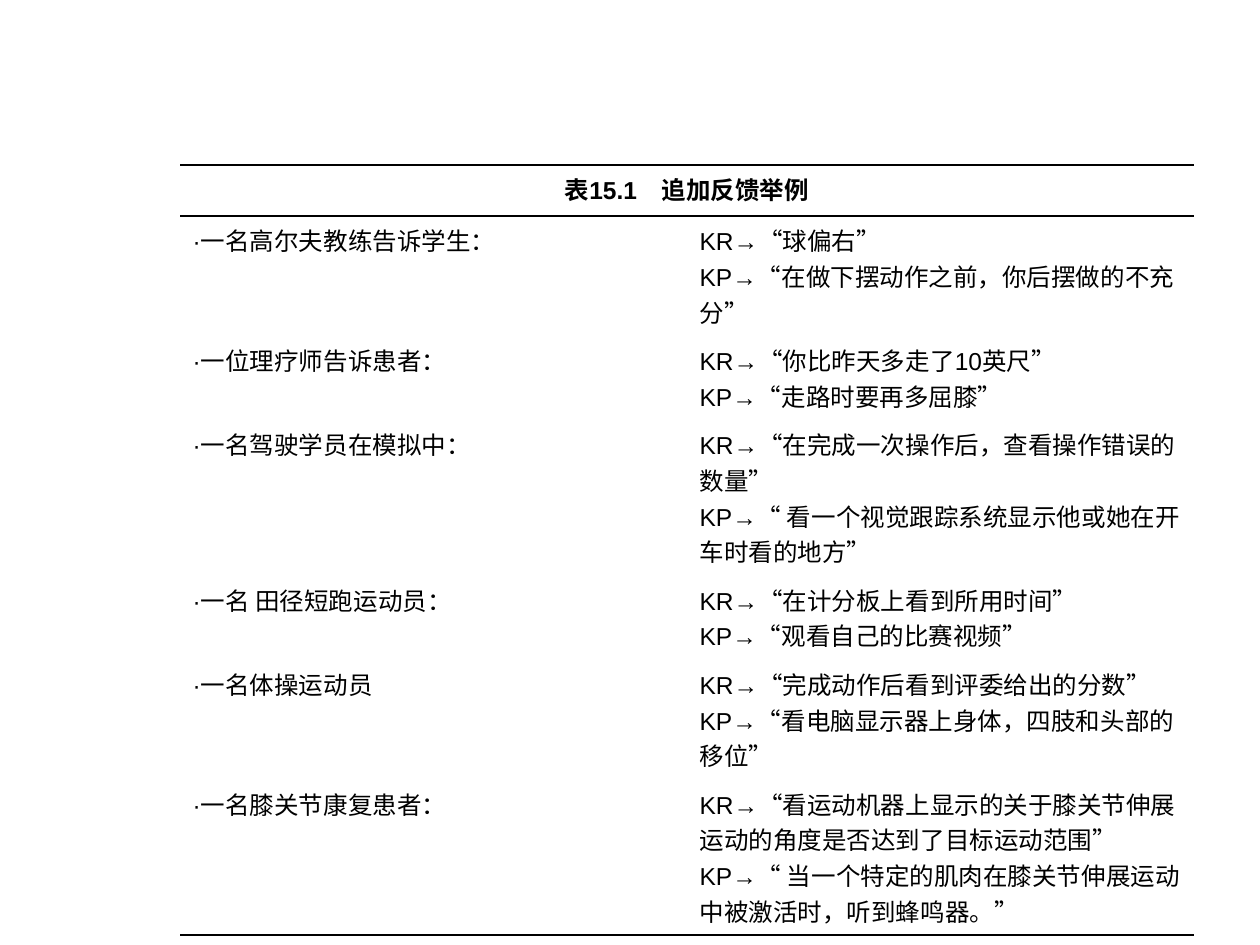
import pptx
import pptx.dml.color
import pptx.enum.lang
import pptx.enum.text
import pptx.oxml
import pptx.oxml.ns
import pptx.util

SCALE = 914400 / 126
TITLE = "表15.1　追加反馈举例"
EXAMPLES = [
    ("·一名高尔夫教练告诉学生：", "KR→“球偏右”", "KP→“在做下摆动作之前，你后摆做的不充分”"),
    ("·一位理疗师告诉患者：", "KR→“你比昨天多走了10英尺”", "KP→“走路时要再多屈膝”"),
    ("·一名驾驶学员在模拟中：", "KR→“在完成一次操作后，查看操作错误的数量”",
     "KP→“ 看一个视觉跟踪系统显示他或她在开车时看的地方”"),
    ("·一名 田径短跑运动员：", "KR→“在计分板上看到所用时间”", "KP→“观看自己的比赛视频”"),
    ("·一名体操运动员", "KR→“完成动作后看到评委给出的分数”",
     "KP→“看电脑显示器上身体，四肢和头部的移位”"),
    ("·一名膝关节康复患者：",
     "KR→“看运动机器上显示的关于膝关节伸展运动的角度是否达到了目标运动范围”",
     "KP→“ 当一个特定的肌肉在膝关节伸展运动中被激活时，听到蜂鸣器。”"),
]
ROW_HEIGHTS = [51, 101, 72, 130, 72, 101, 130]


def px(length):
    """Turn pixels into EMU."""
    return pptx.util.Emu(round(length * SCALE))


def color(hex_text):
    """Turn a hex string into a colour."""
    return pptx.dml.color.RGBColor.from_string(hex_text)


class SlideWriter:
    """Holds the text and rule style and the slide being filled."""

    font_name = "Arial"
    font_size = 14
    ink = "000000"
    rule_width = 0.96

    def __init__(self, slide):
        """Start writing on the given slide."""
        self.slide = slide

    def table(self, left, top, column_widths, row_heights):
        """Add a plain table without banding."""
        frame = self.slide.shapes.add_table(
            len(row_heights), len(column_widths), px(left), px(top),
            px(sum(column_widths)), px(sum(row_heights)))
        table = frame.table
        table.first_row = False
        table.horz_banding = False
        for column, width in zip(table.columns, column_widths):
            column.width = px(width)
        for row, height in zip(table.rows, row_heights):
            row.height = px(height)
        return table

    def text(self, cell, lines, bold=False, align=pptx.enum.text.PP_ALIGN.LEFT):
        """Write one paragraph per line into a cell."""
        cell.text_frame.text = "\n".join(lines)
        for para in cell.text_frame.paragraphs:
            para.alignment = align
            for span in para.runs:
                span.font.name = self.font_name
                span.font.size = pptx.util.Pt(self.font_size)
                span.font.bold = bold
                span.font.color.rgb = color(self.ink)
                span.font.language_id = pptx.enum.lang.MSO_LANGUAGE_ID.SIMPLIFIED_CHINESE

    def rules(self, cell, edges):
        """Draw the named edges of a cell, hide the others and clear its fill."""
        properties = cell._tc.get_or_add_tcPr()
        namespace = pptx.oxml.ns.nsdecls("a")
        for edge in "LRTB":
            fill = "<a:noFill/>"
            if edge in edges:
                fill = f'<a:solidFill><a:srgbClr val="{self.ink}"/></a:solidFill>'
            width = pptx.util.Pt(self.rule_width)
            properties.append(pptx.oxml.parse_xml(
                f'<a:ln{edge} {namespace} w="{width}">{fill}</a:ln{edge}>'))
        cell.fill.background()


def main():
    """Build the deck with the feedback table."""
    deck = pptx.Presentation()
    deck.slide_width, deck.slide_height = px(1260), px(945)
    writer = SlideWriter(deck.slides.add_slide(deck.slide_layouts[6]))
    table = writer.table(180, 165, [507, 507], ROW_HEIGHTS)
    table.cell(0, 0).merge(table.cell(0, 1))
    writer.text(table.cell(0, 0), [TITLE], True, pptx.enum.text.PP_ALIGN.CENTER)
    for row, (situation, *feedback) in enumerate(EXAMPLES, 1):
        writer.text(table.cell(row, 0), [situation])
        writer.text(table.cell(row, 1), feedback)
    edges = {0: "TB", 1: "T", len(EXAMPLES): "B"}
    for row in range(len(ROW_HEIGHTS)):
        for column in range(2):
            writer.rules(table.cell(row, column), edges.get(row, ""))
    deck.save("out.pptx")


if __name__ == "__main__":
    main()
